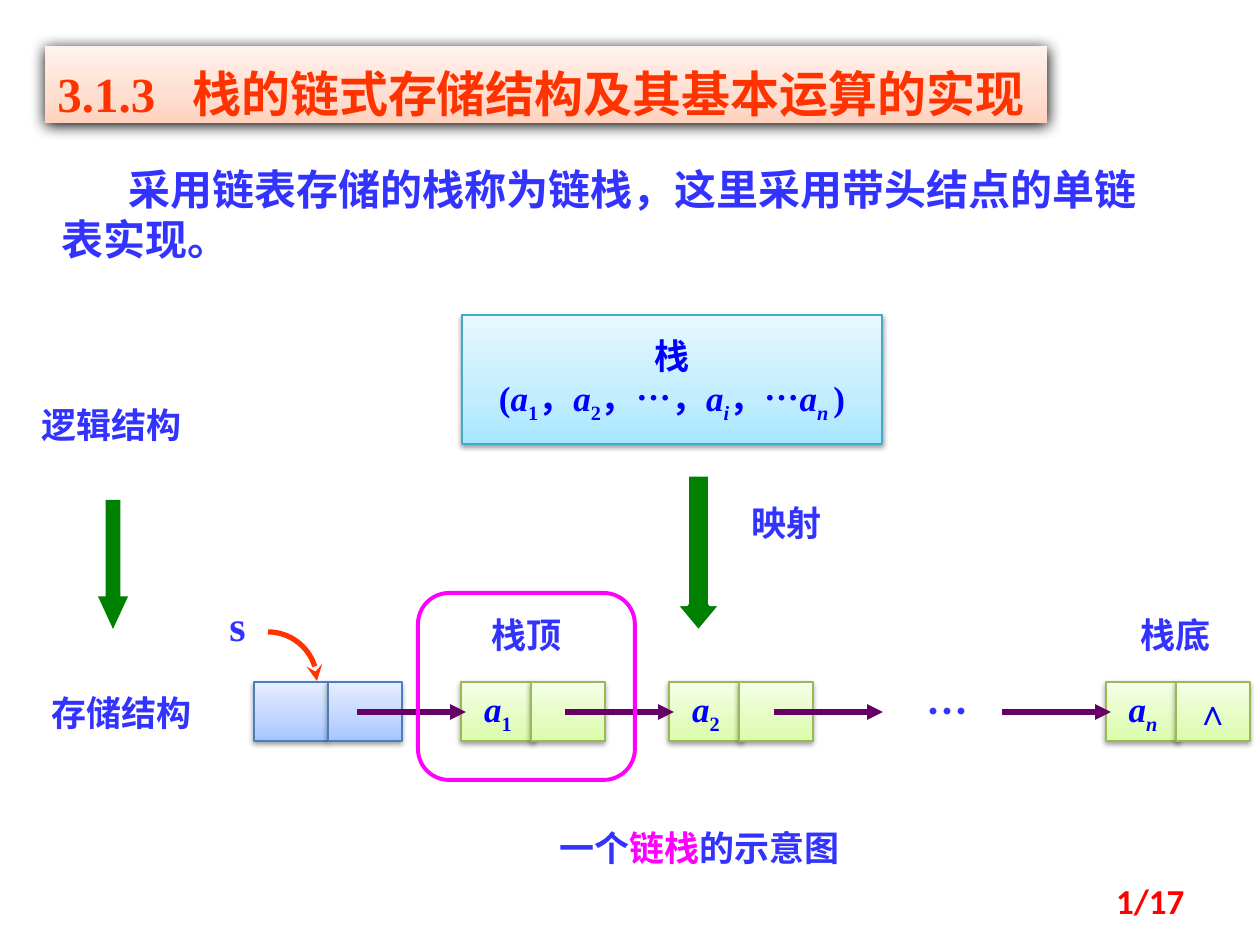
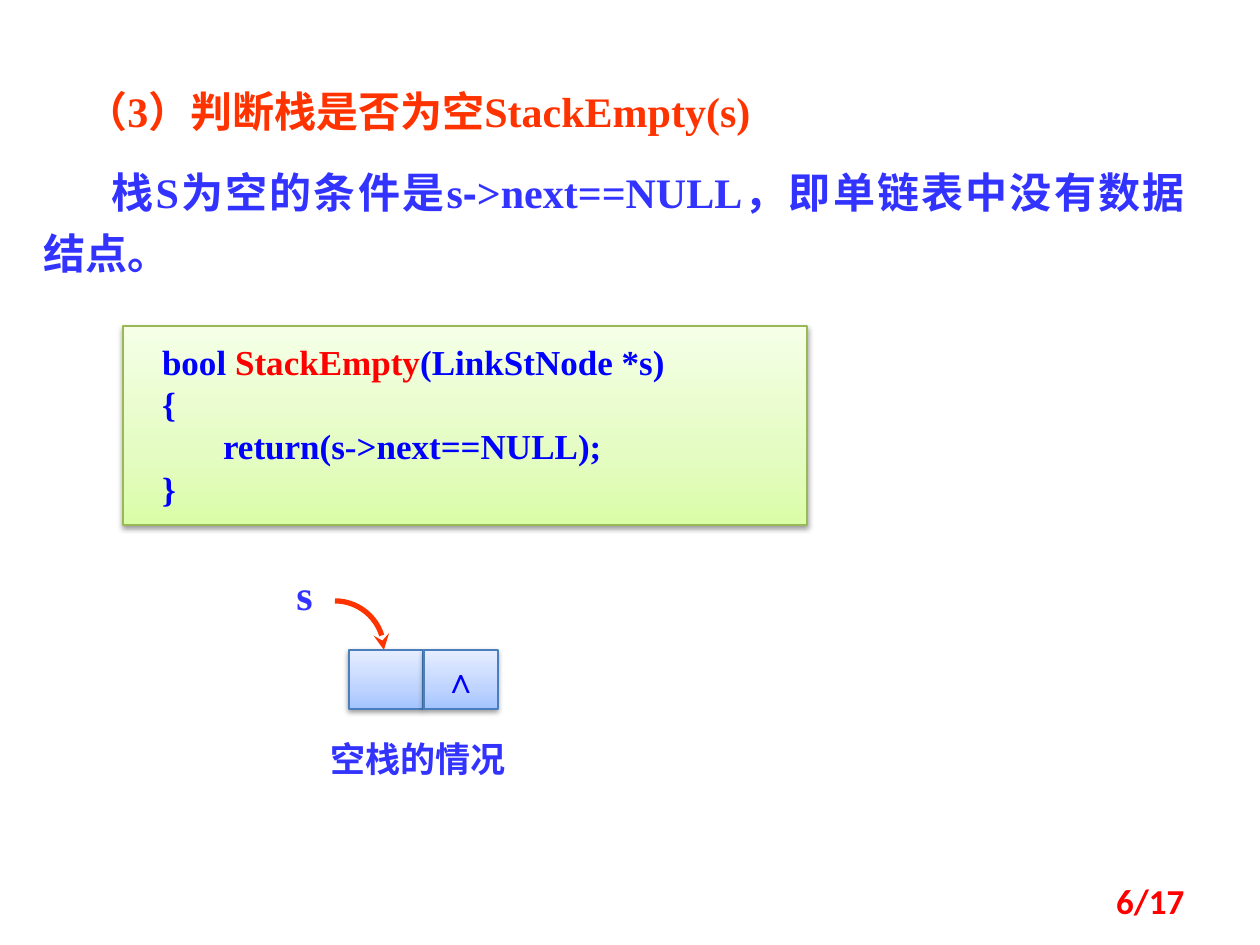
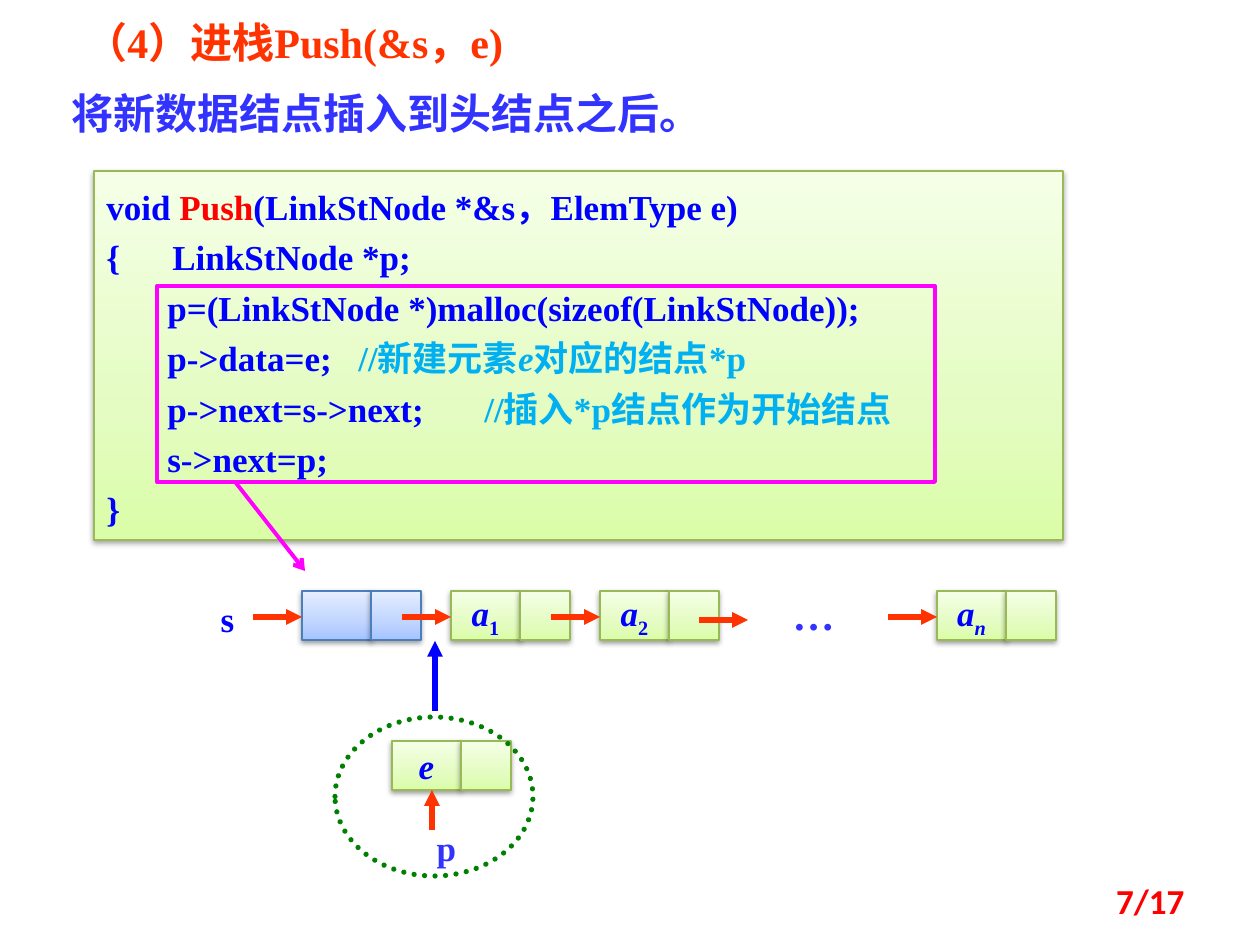
from copy import deepcopy
from math import cos, pi, sin

from lxml.etree import SubElement
from pptx import Presentation
from pptx.dml.color import RGBColor
from pptx.enum.dml import MSO_LINE
from pptx.enum.shapes import MSO_CONNECTOR, MSO_SHAPE
from pptx.enum.text import MSO_ANCHOR, MSO_AUTO_SIZE, PP_ALIGN
from pptx.oxml.ns import qn
from pptx.util import Pt

SCALE = 914400 / 126
SERIF, CJK = "Times New Roman", "Noto Sans CJK SC"
INK, CODE, HEADING, MAGENTA = "3333FF", "0000FF", "FF3300", "FF00FF"
RED, GREEN, PURPLE, COMMENT = "FF0000", "008000", "660066", "00B0F0"
CYAN_BOX = ("A7E6FF", "C1EDFF", "E7F8FF"), "46AAC5"
BLUE_BOX = ("A4C4FF", "BFD4FF", "E6EEFF"), "4B7EBC"
GREEN_BOX = ("DAFDA7", "E4FCC2", "F5FFE7"), "98B955"
TITLE_BOX = ("FFD2BD", "FFDED0", "FFF2ED"), None
SOFT_SHADOW, TITLE_SHADOW = (38, 3.1, 1.6), (100, 8.5, 1)


def px(length):
    return round(length * SCALE)


def rgb(value):
    return RGBColor.from_string(value)


def para(*runs, **layout):
    return runs, layout


def term(letter, index, upright=True):
    return (letter, {"italic": True}), (index, {"italic": not upright, "baseline": -25})


class Deck:
    """Holds the shared style and the slide being drawn."""

    def __init__(self):
        self.show = Presentation()
        self.show.slide_width, self.show.slide_height = px(1260), px(945)
        self.shapes = None

    def slide(self, page):
        blank = self.show.slide_layouts[6]
        self.shapes = self.show.slides.add_slide(blank).shapes
        self.label((903, 876, 294, 50), f"{page}/17", color=RED, font="Calibri",
                   align=PP_ALIGN.RIGHT, anchor=MSO_ANCHOR.MIDDLE)

    def typeset(self, owner, paragraphs, size=20, color=INK, font=SERIF,
                align=PP_ALIGN.LEFT, anchor=MSO_ANCHOR.TOP, wrap=True, grow=False, inset=None):
        frame = owner.text_frame
        settings = {"word_wrap": wrap, "vertical_anchor": anchor,
                    "auto_size": MSO_AUTO_SIZE.SHAPE_TO_FIT_TEXT if grow else MSO_AUTO_SIZE.NONE}
        if inset:
            across, down = map(px, inset)
            settings |= {"margin_left": across, "margin_right": across,
                         "margin_top": down, "margin_bottom": down}
        for name, value in settings.items():
            setattr(frame, name, value)
        for number, (runs, layout) in enumerate(paragraphs):
            paragraph = frame.add_paragraph() if number else frame.paragraphs[0]
            for name, value in {"alignment": align, "line_spacing": layout.get("spacing"),
                                "space_before": layout.get("before")}.items():
                setattr(paragraph, name, value)
            properties = paragraph._p.get_or_add_pPr()
            if "indent" in layout:
                properties.set("marL", "0")
                properties.set("indent", str(px(layout["indent"])))
            if "tab" in layout:
                stops = SubElement(properties, qn("a:tabLst"))
                SubElement(stops, qn("a:tab"), pos=str(px(layout["tab"])), algn="l")
            for part in runs:
                words, change = (part, {}) if isinstance(part, str) else part
                self.phrase(paragraph, words, {"name": font, "size": Pt(size), "bold": True,
                                               "color": color} | change)

    def phrase(self, paragraph, words, style):
        run = paragraph.add_run()
        run.text = words
        run.font.color.rgb = rgb(style.pop("color"))
        baseline = style.pop("baseline", 0)
        for name, value in style.items():
            setattr(run.font, name, value)
        properties = run._r.get_or_add_rPr()
        if baseline:
            properties.set("baseline", str(baseline * 1000))
        SubElement(properties, qn("a:ea"), typeface=CJK)

    def text(self, place, paragraphs, **style):
        self.typeset(self.shapes.add_textbox(*map(px, place)), paragraphs, **style)

    def label(self, place, *runs, align=PP_ALIGN.CENTER, **style):
        self.text(place, [para(*runs)], align=align, **style)

    def box(self, place, look, paragraphs=(), shadow=SOFT_SHADOW, **style):
        panel = self.shapes.add_shape(MSO_SHAPE.RECTANGLE, *map(px, place))
        tints, edge = look
        panel.fill.gradient()
        panel.fill.gradient_angle = 90
        stops = panel._element.spPr.find(qn("a:gradFill")).find(qn("a:gsLst"))
        stops.insert(1, deepcopy(stops[0]))
        for stop, share, tint in zip(panel.fill.gradient_stops, (0, 0.35, 1), tints):
            stop.position = share
            stop.color.rgb = rgb(tint)
        self.stroke(panel, edge, 0.75)
        panel.shadow.inherit = False
        alpha, blur, distance = shadow
        effects = panel._element.spPr.find(qn("a:effectLst"))
        cast = SubElement(effects, qn("a:outerShdw"), blurRad=str(int(Pt(blur))),
                          dist=str(int(Pt(distance))), dir="5400000", rotWithShape="0")
        shade = SubElement(cast, qn("a:srgbClr"), val="000000")
        SubElement(shade, qn("a:alpha"), val=str(alpha * 1000))
        if paragraphs:
            self.typeset(panel, paragraphs, **style)

    def cell(self, place, look, *runs):
        self.box(place, look, [para(*runs)] if runs else (), color=CODE, wrap=False,
                 align=PP_ALIGN.CENTER, anchor=MSO_ANCHOR.MIDDLE)

    def stroke(self, owner, color, width, tail=None):
        if color is None:
            owner.line.fill.background()
            return
        owner.line.color.rgb = rgb(color)
        owner.line.width = Pt(width)
        if tail:
            SubElement(owner._element.spPr.find(qn("a:ln")), qn("a:tailEnd"), type=tail)

    def outline(self, kind, place, color, width=2.25, dotted=False):
        frame = self.shapes.add_shape(kind, *map(px, place))
        frame.fill.background()
        self.stroke(frame, color, width)
        if dotted:
            frame.line.dash_style = MSO_LINE.ROUND_DOT
            frame._element.spPr.find(qn("a:ln")).set("cap", "rnd")
        frame.shadow.inherit = False

    def down_arrow(self, place, head, edge=None):
        arrow = self.shapes.add_shape(MSO_SHAPE.DOWN_ARROW, *map(px, place))
        arrow.adjustments[0], arrow.adjustments[1] = 0.5, head
        arrow.fill.solid()
        arrow.fill.fore_color.rgb = rgb(GREEN)
        self.stroke(arrow, edge, 3)
        arrow.shadow.inherit = False

    def arrow(self, start, end, color=HEADING, width=3, tail="triangle"):
        link = self.shapes.add_connector(MSO_CONNECTOR.STRAIGHT, *map(px, start + end))
        self.stroke(link, color, width, tail)
        SubElement(link._element.spPr, qn("a:effectLst"))

    def head_pointer(self, left, top, radius=49, steps=16):
        self.label((left - 60, top - 39, 59, 63), "s", size=24)
        angles = [pi / 2 * step / steps for step in range(1, steps + 1)]
        curve = self.shapes.build_freeform(px(left), px(top), scale=1.0)
        curve.add_line_segments([(px(left + radius * sin(angle)),
                                  px(top + radius * (1 - cos(angle)))) for angle in angles],
                                close=False)
        pointer = curve.convert_to_shape()
        pointer.fill.background()
        self.stroke(pointer, HEADING, 3, "stealth")
        pointer.shadow.inherit = False


deck = Deck()

deck.slide(1)
comma = "，"
deck.box((462, 315, 420, 129), CYAN_BOX,
         [para("栈"),
          para("(", *term("a", "1"), comma, *term("a", "2"), "，…，", *term("a", "i", False),
               "，…", *term("a", "n ", False), ")")],
         color=CODE, align=PP_ALIGN.CENTER, anchor=MSO_ANCHOR.MIDDLE, wrap=False)
deck.down_arrow((674, 474, 49, 159), 0.6, "FFFFFF")
deck.down_arrow((98, 500, 30, 129), 1.08)
for place, words in (((723, 495, 127, 54), "映射"), ((457, 607, 139, 55), "栈顶"),
                     ((1106, 607, 139, 55), "栈底")):
    deck.label(place, words)
for place, words in (((29, 397, 188, 55), "逻辑结构"), ((39, 685, 188, 55), "存储结构")):
    deck.label(place, words, align=PP_ALIGN.LEFT)
deck.label((537, 820, 325, 55), "一个", ("链栈", {"color": MAGENTA}), "的示意图")
for left in (254, 328):
    deck.cell((left, 682, 74, 59), BLUE_BOX)
for left, index, pointer in ((461, "1", ()), (669, "2", ()), (1106, "n", ("∧",))):
    deck.cell((left, 682, 74, 59), GREEN_BOX, *term("a", index, index != "n"))
    deck.cell((left + 70, 682, 74, 59), GREEN_BOX, *pointer)
for start in (357, 565, 774, 1002):
    deck.arrow((start, 712), (start + 109, 712), PURPLE)
deck.label((887, 679, 120, 63), "…", size=24, font=CJK)
deck.head_pointer(268, 632)
deck.outline(MSO_SHAPE.ROUNDED_RECTANGLE, (418, 593, 217, 187), MAGENTA)
deck.box((45, 46, 1002, 77), TITLE_BOX,
         [para("3.1.3\t栈的链式存储结构及其基本运算的实现", spacing=1.2, tab=135)],
         TITLE_SHADOW, size=28, color=HEADING, grow=True)
deck.text((49, 157, 1140, 115),
          [para("采用链表存储的栈称为链栈，这里采用带头结点的单链表实现。", indent=67)], size=24)

deck.slide(6)
deck.text((31, 69, 1166, 222),
          [para(("（3）判断栈是否为空StackEmpty(s)", {"color": HEADING}), spacing=1.2, indent=42),
           para("栈S为空的条件是s", ("-", {"name": "Arial"}),
                ">next==NULL，即单链表中没有数据结点。", spacing=1.2, before=Pt(12), indent=68)],
          size=24, align=PP_ALIGN.JUSTIFY)
deck.box((123, 326, 684, 199), GREEN_BOX,
         [para("bool ", ("StackEmpty", {"color": RED}), "(LinkStNode *s)"), para("{"),
          para("return(s->next==NULL);", indent=61), para("}")],
         color=CODE, inset=(39, 15), grow=True)
for left, pointer in ((349, ()), (424, ("∧",))):
    deck.cell((left, 650, 74, 59), BLUE_BOX, *pointer)
deck.head_pointer(335, 601)
deck.label((305, 731, 227, 55), "空栈的情况", font=CJK)

deck.slide(7)
deck.text((21, 20, 1218, 130),
          [para(("（4）进栈Push(&s，e)", {"color": HEADING}), spacing=0.8, indent=52),
           para("将新数据结点插入到头结点之后。", before=Pt(12), indent=38)],
          size=24, align=PP_ALIGN.JUSTIFY)
remark = {"color": COMMENT}
body = {"spacing": 1.2, "indent": 61, "tab": 378}
deck.box((94, 171, 969, 369), GREEN_BOX,
         [para("void ", ("Push", {"color": RED}), "(LinkStNode *&s，ElemType e)", spacing=1.2),
          para("{\tLinkStNode *p;", spacing=1.2, tab=66),
          para("p=(LinkStNode *)malloc(sizeof(LinkStNode));", **body),
          para("p->data=e;\t", ("//新建元素", remark), ("e", remark | {"italic": True}),
               ("对应的结点*p", remark), **body),
          para("p->next=s->next;\t", ("//插入*p结点作为开始结点", remark), **body),
          para("s->next=p;", **body),
          para("}", spacing=1.2)],
         color=CODE, grow=True)
nodes = ((302, 591, BLUE_BOX, ()), (451, 591, GREEN_BOX, term("a", "1")),
         (600, 591, GREEN_BOX, term("a", "2")), (937, 591, GREEN_BOX, term("a", "n", False)),
         (392, 741, GREEN_BOX, (("e", {"italic": True}),)))
for left, top, look, datum in nodes:
    deck.cell((left, top, 69, 49), look, *datum)
    deck.cell((left + 69, top, 50, 49), look)
for left, top, look, datum in nodes[:4]:
    deck.arrow((left - 49, 617), (left, 617))
deck.arrow((699, 620), (748, 620))
deck.arrow((432, 830), (432, 790))
deck.arrow((435, 711), (435, 641), CODE)
deck.label((203, 591, 49, 54), "s", color=CODE)
deck.label((779, 582, 69, 63), "…", size=24)
deck.label((402, 820, 89, 54), "p")
deck.outline(MSO_SHAPE.OVAL, (335, 717, 198, 159), GREEN, 3, dotted=True)
deck.outline(MSO_SHAPE.RECTANGLE, (157, 286, 778, 196), MAGENTA)
deck.arrow((236, 483), (305, 571), MAGENTA, 2.25, "arrow")

deck.show.save("out.pptx")
